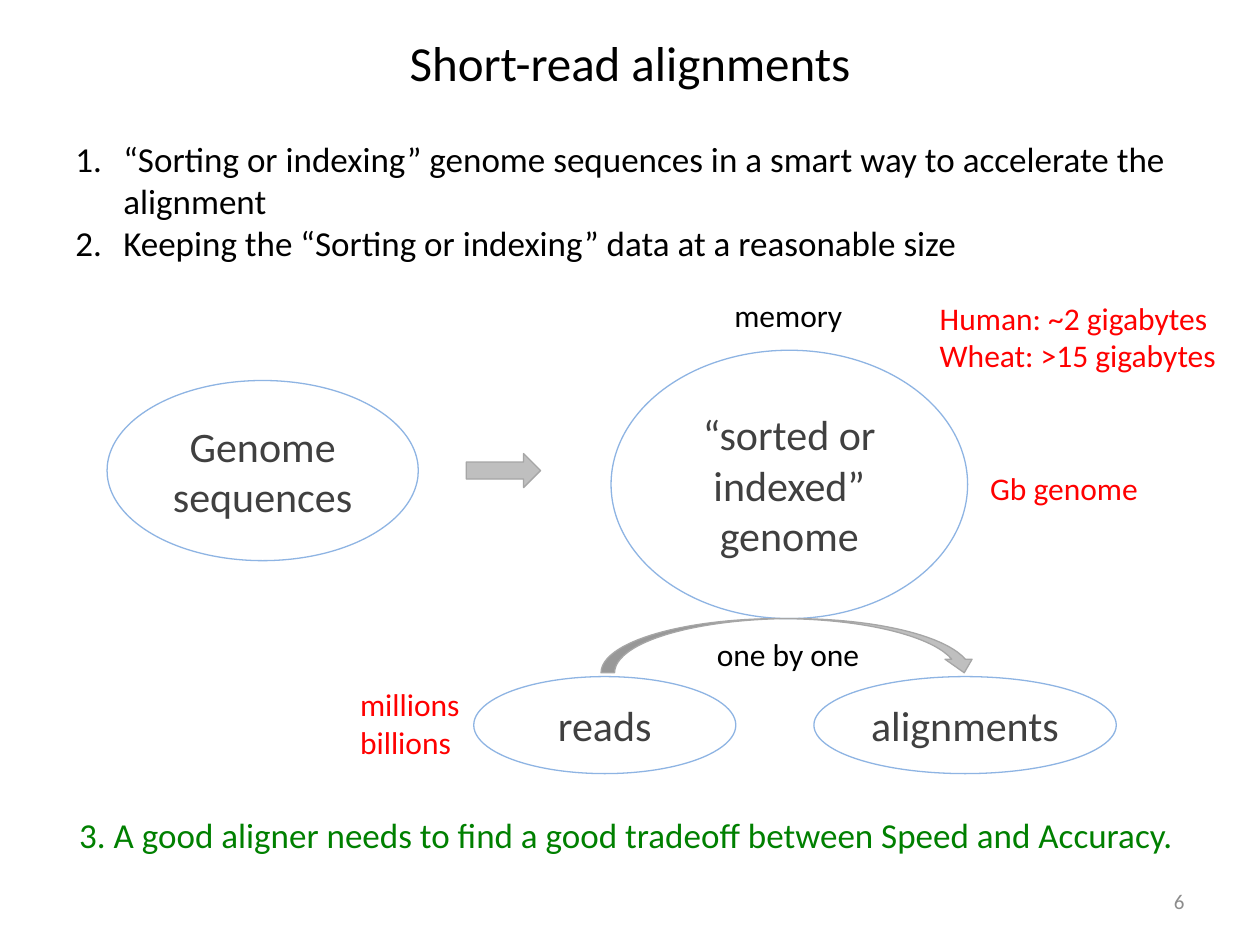
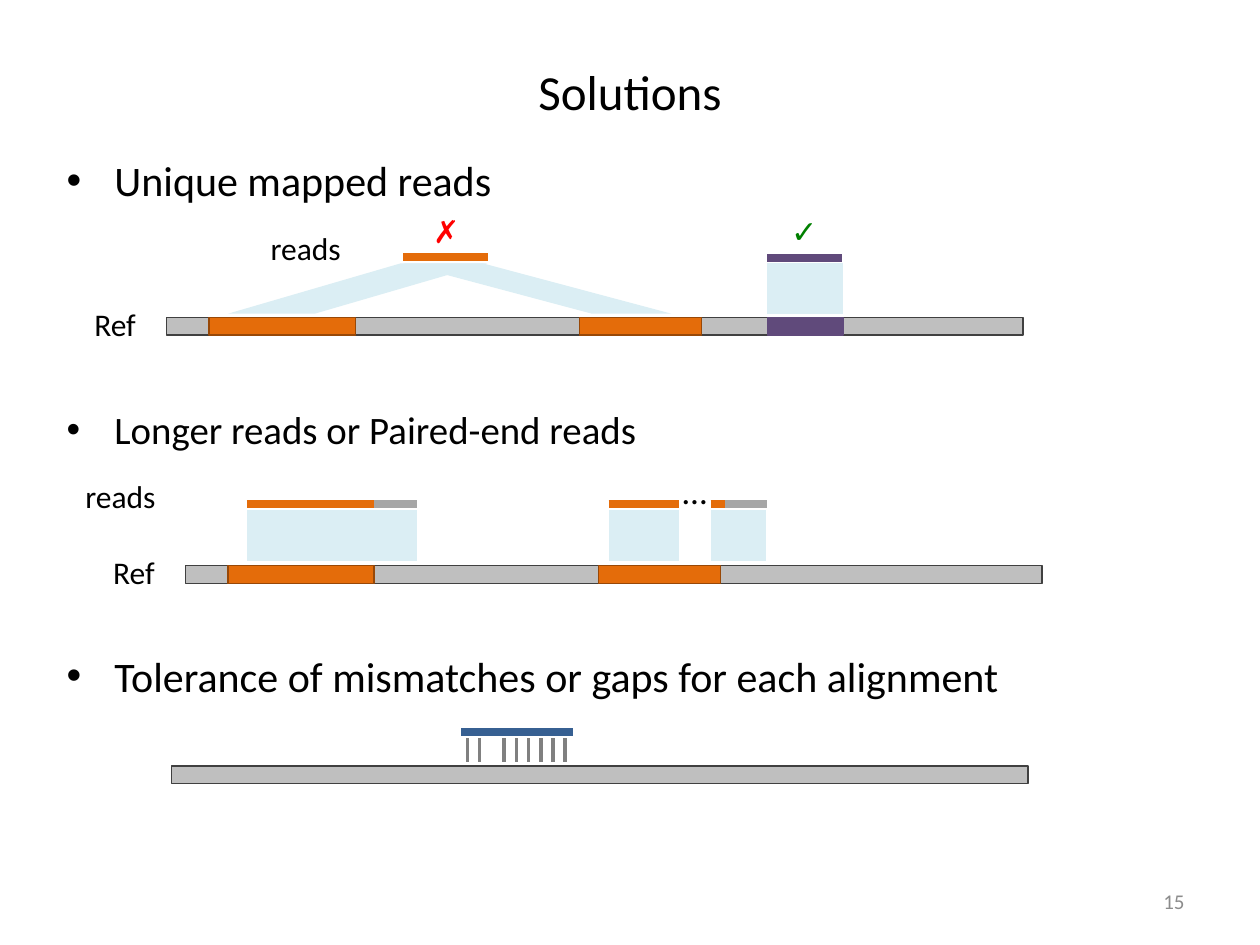
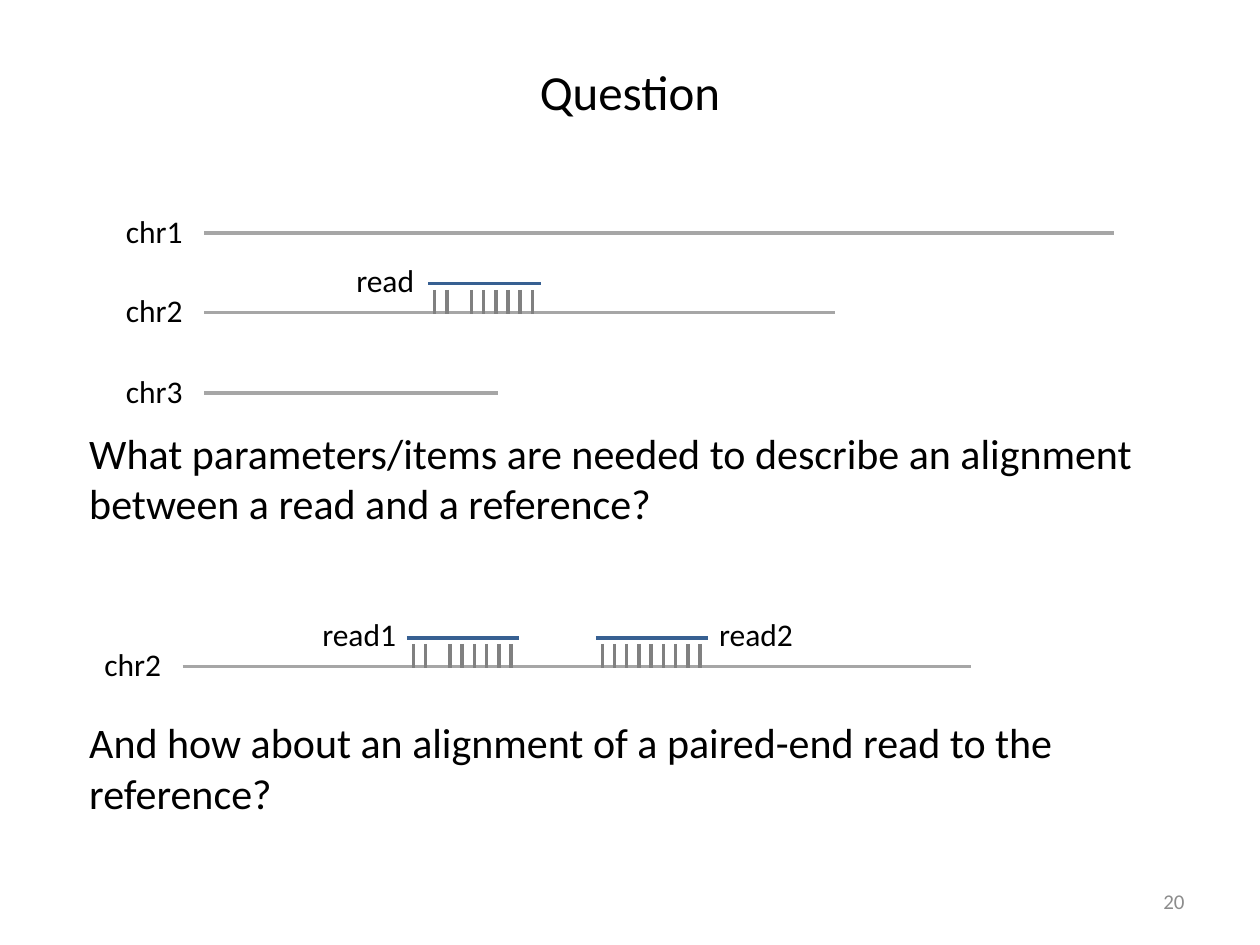
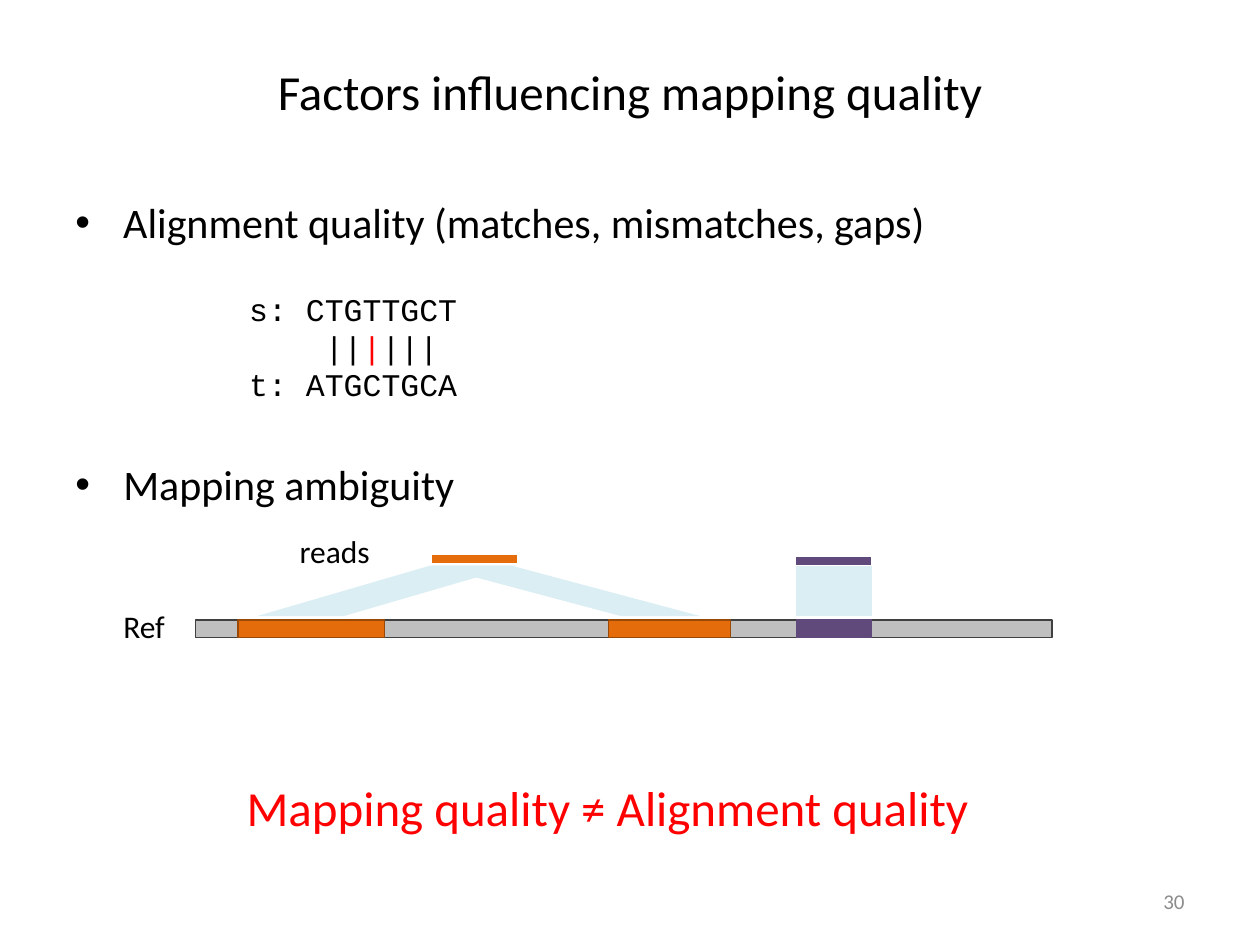
from pptx import Presentation, util as u
from pptx.dml.color import RGBColor
from pptx.enum import shapes, text
from lxml import etree

NS = "{http://schemas.openxmlformats.org/drawingml/2006/main}"
KIND = shapes.MSO_SHAPE
ALIGN = text.PP_ALIGN
BLACK, RED, GREEN, DARK, MUTED = "000000", "FF0000", "008000", "404040", "8C8C8C"
GREY, MID, TICK = "BFBFBF", "A6A6A6", "808080"
ORANGE, RUST, PURPLE, BLUE = "E46C0A", "984807", "604A7B", "376092"
PALE, SKY = "DBEEF4", "8EB4E3"

HEADS = [("Short-read alignments", 0.07, 6), ("Solutions", 0.3, 15),
         ("Question", 0.3, 20), ("Factors influencing mapping quality", 0.3, 30)]

AIMS = ["“Sorting or indexing” genome sequences in a smart way to accelerate the alignment",
        "Keeping the “Sorting or indexing” data at a reasonable size"]
OVALS = [("Genome sequences", 0.85, 3.02, 2.47, 1.43),
         ("“sorted or indexed” genome", 4.85, 2.78, 2.83, 2.13),
         ("reads", 3.76, 5.37, 2.08, 0.77),
         ("alignments", 6.46, 5.37, 2.4, 0.77)]
ARROWS = [(KIND.CURVED_DOWN_ARROW, 4.77, 4.91, 2.99, 0.43),
          (KIND.RIGHT_ARROW, 3.7, 3.6, 0.59, 0.27)]
NOTES = [(["one by one"], 5.59, 4.99, 1.35, 0.4, BLACK),
         (["memory"], 5.73, 2.3, 1.07, 0.4, BLACK),
         (["Human: ~2 gigabytes", "Wheat: >15 gigabytes"], 7.36, 2.32, 2.51, 0.71, RED),
         (["millions", "billions"], 2.76, 5.39, 1, 0.71, RED),
         (["Gb genome"], 7.76, 3.67, 1.39, 0.4, RED)]
MORAL = "3. A good aligner needs to find a good tradeoff between Speed and Accuracy."

FIXES = [("Unique mapped reads", 1.18, 4.96, 24),
         ("Longer reads or Paired-end reads", 3.17, 4.96, 22.2),
         ("Tolerance of mismatches or gaps for each alignment", 5.11, 7.69, 24)]
MARKS = [("✓", 6.18, 0.4, GREEN), ("✗", 3.34, 0.37, RED)]
PAIRS = [(1.96, 2.97, ORANGE), (2.97, 3.31, MID), (4.83, 5.39, ORANGE),
         (5.64, 5.75, ORANGE), (5.75, 6.09, MID)]
SPANS = [(1.96, 1.35), (4.83, 0.56), (5.64, 0.44)]

CHROMS = [("chr1", 1.62, 8.84, 1.85), ("chr2", 1.62, 6.63, 2.48),
          ("chr3", 1.62, 3.95, 3.12), ("chr2", 1.45, 7.71, 5.29)]
READS = [("read", 3.4, 2.25, 2.73, 0.67, [2]), ("read1", 3.23, 5.06, 2.46, 0.8, [2]),
         ("read2", 4.73, 5.06, 5.61, 0.8, [])]
ASKS = [("What parameters/items are needed to describe an alignment between a read and a reference?", 3.34),
        ("And how about an alignment of a paired-end read to the reference?", 5.64)]

FACTORS = [("Alignment quality (matches, mismatches, gaps)", 1.51, 9),
           ("Mapping ambiguity", 3.59, 4.41)]
CODE = ["s: CTGTTGCT",
        [("    ||", BLACK), ("|", RED), ("|||", BLACK)],
        "t: ATGCTGCA"]


def tint(code):
    return RGBColor.from_string(code)


def fill_text(frame, paras, size=18, color=BLACK, font="Calibri", align=ALIGN.LEFT, mark=None):
    for i, runs in enumerate(paras):
        para = frame.paragraphs[0] if i == 0 else frame.add_paragraph()
        para.alignment = align
        if mark:
            props = para._p.get_or_add_pPr()
            props.set("marL", str(u.Inches(0.38)))
            props.set("indent", str(-u.Inches(0.38)))
            if mark == "1.":
                etree.SubElement(props, NS + "buAutoNum", type="arabicPeriod")
            else:
                etree.SubElement(props, NS + "buFont", typeface="Arial")
                etree.SubElement(props, NS + "buChar", char=mark)
        for words, hue in [(runs, color)] if isinstance(runs, str) else runs:
            run = para.add_run()
            run.text = words
            run.font.name, run.font.size = font, u.Pt(size)
            run.font.color.rgb = tint(hue)


def write(slide, paras, x, y, w, h=0.4, wrap=False, grow=True, mid=False, **form):
    box = slide.shapes.add_textbox(*map(u.Inches, (x, y, w, h)))
    frame = box.text_frame
    frame.word_wrap = wrap
    frame.auto_size = text.MSO_AUTO_SIZE.SHAPE_TO_FIT_TEXT if grow else text.MSO_AUTO_SIZE.NONE
    frame.vertical_anchor = text.MSO_ANCHOR.MIDDLE if mid else text.MSO_ANCHOR.TOP
    fill_text(frame, [paras] if isinstance(paras, str) else paras, **form)


def bullet(slide, words, x, y, w, size=24):
    write(slide, words, x, y, w, 0.6, wrap=True, grow=False, size=size, mark="•")


def draw(slide, kind, x, y, w, h, fill=None, edge=None, slant=None, flip=False):
    form = slide.shapes.add_shape(kind, *map(u.Inches, (x, y, w, h)))
    form.shadow.inherit = False
    if fill:
        form.fill.solid()
        form.fill.fore_color.rgb = tint(fill)
    else:
        form.fill.background()
    if edge:
        form.line.color.rgb = tint(edge)
        form.line.width = u.Pt(0.75)
    else:
        form.line.fill.background()
    if slant is not None:
        form.adjustments[0] = slant
    if flip:
        form.element.spPr.xfrm.set("flipH", "1")
    return form


def rule(slide, x1, y1, x2, y2, color, width):
    line = slide.shapes.add_connector(shapes.MSO_CONNECTOR.STRAIGHT, *map(u.Inches, (x1, y1, x2, y2)))
    line.line.color.rgb = tint(color)
    line.line.width = u.Pt(width)
    etree.SubElement(line.element.spPr, NS + "effectLst")


def bar(slide, x, y):
    draw(slide, KIND.RECTANGLE, x, y, 6.8, 0.14, GREY, DARK)


def genome(slide, x, y):
    bar(slide, x, y)
    for dx, w in [(0.34, 1.16), (3.28, 0.97)]:
        draw(slide, KIND.RECTANGLE, x + dx, y, w, 0.14, ORANGE, RUST)
    write(slide, "Ref", x - 0.67, y - 0.15, 0.55)


def mapping(slide, x, y):
    genome(slide, x, y)
    rule(slide, x + 4.77, y - 0.47, x + 5.36, y - 0.47, PURPLE, 4.5)
    rule(slide, x + 1.88, y - 0.48, x + 2.55, y - 0.48, ORANGE, 4.5)
    for dx, w, slant, flip in [(0.49, 2.06, 3.429, False), (1.88, 2.13, 3.748, True), (4.77, 0.6, 0, False)]:
        draw(slide, KIND.PARALLELOGRAM, x + dx, y - 0.43, w, 0.4, PALE, slant=slant, flip=flip)
    draw(slide, KIND.RECTANGLE, x + 4.77, y, 0.6, 0.14, PURPLE, PURPLE)
    write(slide, "reads", x + 0.73, y - 0.75, 0.77)


def match(slide, x, y, width, gaps):
    for i in range(9):
        if i not in gaps:
            tick = x + 0.05 + i * 0.097
            rule(slide, tick, y + 0.05, tick, y + 0.24, TICK, 2)
    rule(slide, x, y, x + 0.89, y, BLUE, width)


def goals(slide):
    for words, *place in OVALS:
        oval = draw(slide, KIND.OVAL, *place, edge=SKY)
        oval.text_frame.word_wrap = True
        fill_text(oval.text_frame, [words], size=24, color=DARK, align=ALIGN.CENTER)
    for kind, *place in ARROWS:
        draw(slide, kind, *place, GREY, MID)
    for paras, x, y, w, h, color in NOTES:
        write(slide, paras, x, y, w, h, color=color)
    write(slide, AIMS, 0.5, 1.04, 9.22, 1.11, wrap=True, size=20, mark="1.")
    write(slide, MORAL, 0.53, 6.41, 9.04, 0.44, wrap=True, size=20, color=GREEN)


def fixes(slide):
    for words, y, w, size in FIXES:
        bullet(slide, words, 0.43, y, w, size)
    mapping(slide, 1.32, 2.52)
    for sign, x, w, color in MARKS:
        write(slide, sign, x, 1.63, w, color=color, font="Arial")
    genome(slide, 1.47, 4.49)
    for x, w in SPANS:
        draw(slide, KIND.PARALLELOGRAM, x, 4.05, w, 0.4, PALE, slant=0)
    for x1, x2, color in PAIRS:
        rule(slide, x1, 4, x2, 4, color, 4.5)
    write(slide, "reads", 0.58, 3.74, 0.77)
    write(slide, "…", 5.32, 3.68, 0.4, 0.44, size=20)
    match(slide, 3.66, 5.81, 4.5, [2])
    bar(slide, 1.36, 6.08)


def query(slide):
    for name, x1, x2, y in CHROMS:
        rule(slide, x1, y, x2, y, MID, 2)
        write(slide, name, x1 - 0.72, y - 0.22, 0.66)
    for name, x, y, left, w, gaps in READS:
        match(slide, x, y, 2.25, gaps)
        write(slide, name, left, y - 0.23, w)
    for words, y in ASKS:
        write(slide, words, 0.61, y, 8.69, 0.91, wrap=True, size=24)


def factors(slide):
    for words, y, w in FACTORS:
        bullet(slide, words, 0.5, y, w)
    write(slide, CODE, 1.88, 2.25, 1.87, 1.01, font="Courier New")
    mapping(slide, 1.55, 4.92)
    write(slide, "Mapping quality ≠ Alignment quality", 1.86, 6.12, 6, 0.57, size=28, color=RED)


def main():
    deck = Presentation()
    deck.slide_width, deck.slide_height = u.Inches(10), u.Inches(7.5)
    for (title, top, page), body in zip(HEADS, (goals, fixes, query, factors)):
        slide = deck.slides.add_slide(deck.slide_layouts[6])
        write(slide, title, 0.5, top, 9, 0.85, wrap=True, grow=False, mid=True, size=28, align=ALIGN.CENTER)
        body(slide)
        write(slide, str(page), 7.17, 6.95, 2.33, wrap=True, grow=False, mid=True,
              size=12, color=MUTED, align=ALIGN.RIGHT)
    deck.save("out.pptx")


if __name__ == "__main__":
    main()
